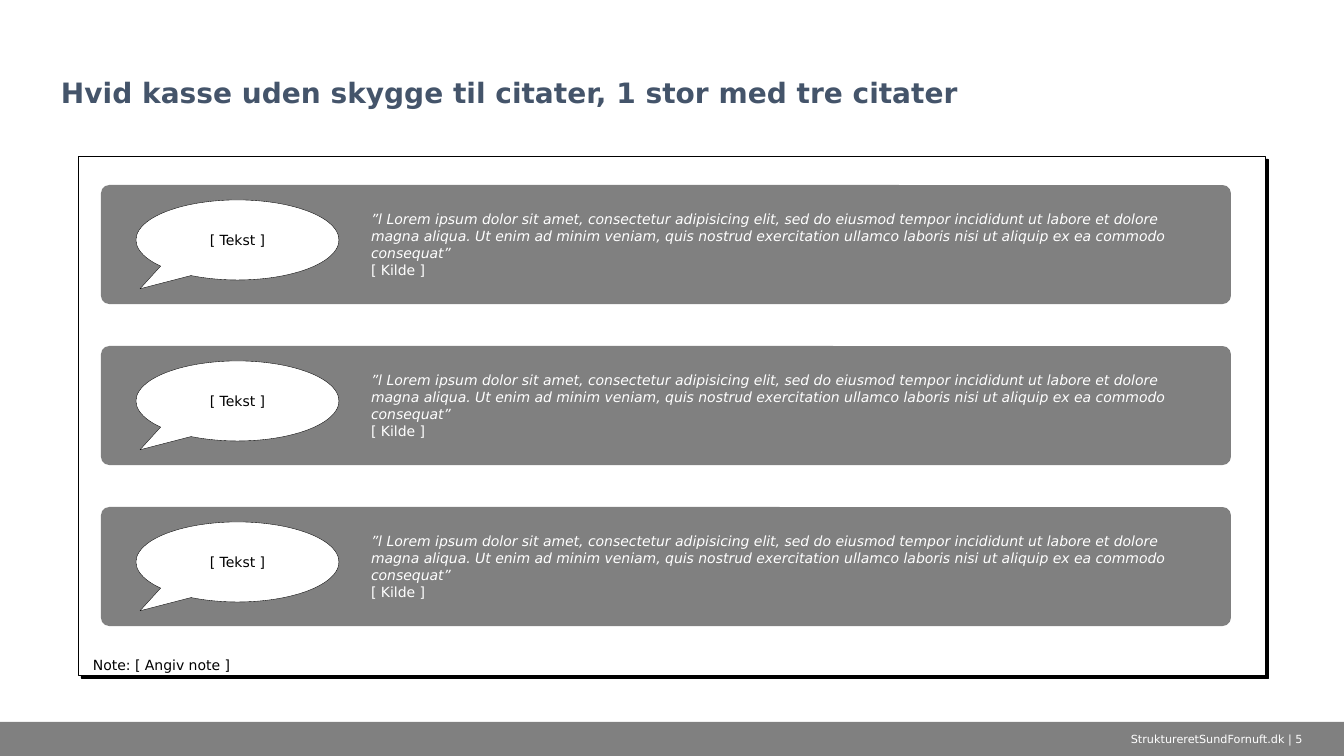
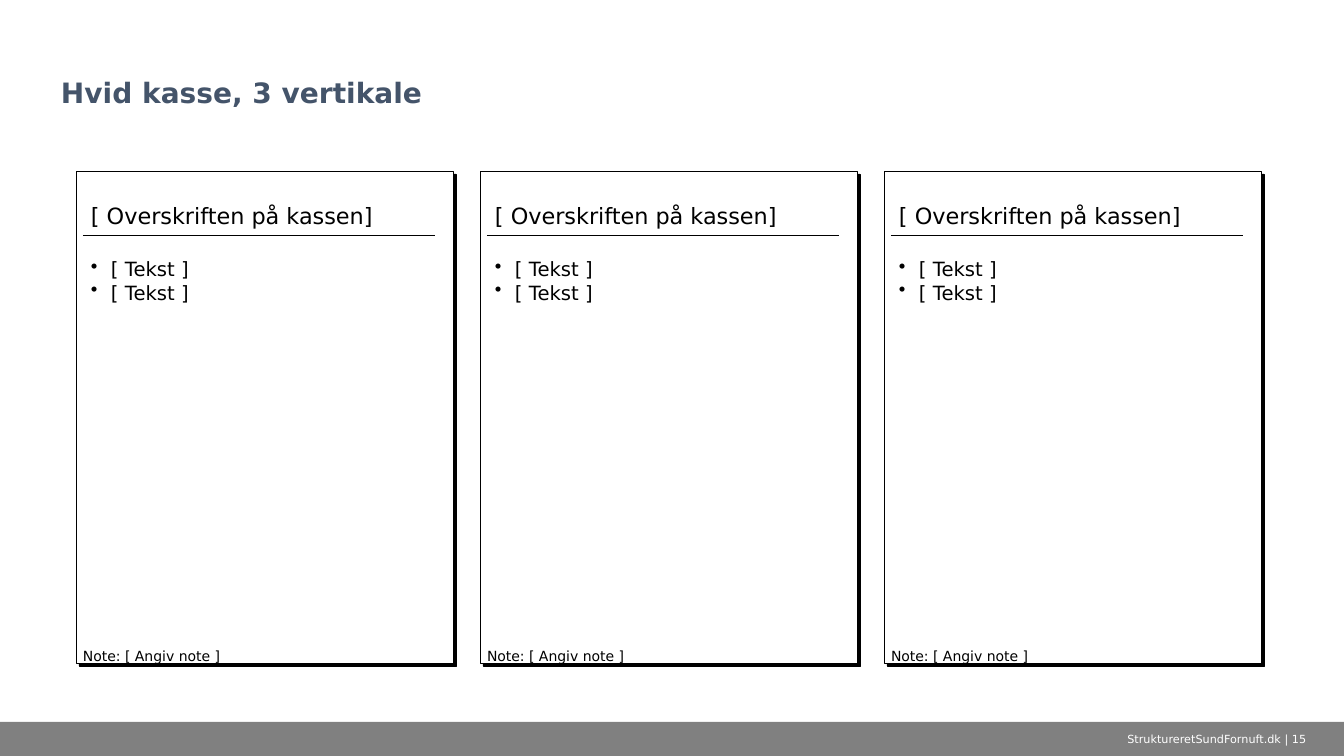
from copy import deepcopy
from dataclasses import dataclass

from lxml.etree import SubElement
from pptx import Presentation
from pptx.dml.color import RGBColor as Rgb
from pptx.enum.shapes import MSO_CONNECTOR as Link, MSO_SHAPE as Kind
from pptx.enum.text import MSO_ANCHOR as Anchor, MSO_AUTO_SIZE as Auto, PP_ALIGN as Align
from pptx.oxml.ns import qn
from pptx.util import Emu, Pt

SCALE = 914400 / 100.8


@dataclass(frozen=True)
class Theme:
    font: str = "DejaVu Sans"
    white: str = "FFFFFF"
    black: str = "000000"
    gray: str = "808080"
    navy: str = "44546A"
    title: int = 20
    head: int = 16
    body: int = 14
    small: int = 10
    foot: int = 8
    thin: float = 0.25
    rule: float = 0.5


THEME = Theme()
NOTE = "Note: [ Angiv note ]"
QUOTE = (
    "”l Lorem ipsum dolor sit amet, consectetur adipisicing elit, sed do eiusmod "
    "tempor incididunt ut labore et dolore magna aliqua. Ut enim ad minim veniam, "
    "quis nostrud exercitation ullamco laboris nisi ut aliquip ex ea commodo "
    "consequat”\v[ Kilde ]"
)


def px(num):
    return Emu(round(num * SCALE))


def write(shape, text, size=THEME.small, color=THEME.black, bold=False, slant=0,
          align=Align.LEFT, anchor=Anchor.TOP, pad=(10, 5), bullet=False, space=None):
    """Fill a shape; \\n parts paragraphs, \\v parts lines, the first `slant` lines are italic."""
    frame = shape.text_frame
    frame.word_wrap = True
    frame.vertical_anchor = anchor
    frame.margin_left = frame.margin_right = px(pad[0])
    frame.margin_top = frame.margin_bottom = px(pad[1])
    for row, part in enumerate(text.split("\n")):
        para = frame.add_paragraph() if row else frame.paragraphs[0]
        para.alignment = align
        if space:
            para.line_spacing = space
        if bullet:
            props = para._p.get_or_add_pPr()
            props.set("marL", str(px(20)))
            props.set("indent", str(px(-20)))
            SubElement(props, qn("a:buChar")).set("char", "•")
        for num, line in enumerate(part.split("\v")):
            if num:
                para.add_line_break()
                para._p[-1].append(deepcopy(run._r.rPr))
            run = para.add_run()
            run.text = line
            font = run.font
            font.name, font.size = THEME.font, Pt(size)
            font.bold, font.italic = bold, num < slant
            font.color.rgb = Rgb.from_string(color)
    return frame


class Deck:
    def __init__(self):
        self.file = Presentation()
        self.file.slide_width, self.file.slide_height = px(1344), px(756)
        self.slide = self.shapes = None

    def page(self, title, num):
        self.slide = self.file.slides.add_slide(self.file.slide_layouts[6])
        self.shapes = self.slide.shapes
        self.shape(Kind.RECTANGLE, (0, 722, 1344, 35), THEME.gray)
        self.text((51, 17, 1241, 98), title, size=THEME.title, color=THEME.navy,
                  bold=True, anchor=Anchor.BOTTOM, space=0.9)
        self.text((1090, 722, 254, 34), f"StruktureretSundFornuft.dk | {num}",
                  size=THEME.foot, color=THEME.white, align=Align.CENTER,
                  anchor=Anchor.MIDDLE)

    def group(self):
        self.shapes = self.slide.shapes.add_group_shape().shapes

    def shape(self, kind, box, fill, line=0, adjust=()):
        item = self.shapes.add_shape(kind, *map(px, box))
        item.shadow.inherit = False
        for spot, value in enumerate(adjust):
            item.adjustments[spot] = value
        item.fill.solid()
        item.fill.fore_color.rgb = Rgb.from_string(fill)
        if line:
            item.line.color.rgb = Rgb.from_string(THEME.black)
            item.line.width = Pt(line)
        else:
            item.line.fill.background()
        return item

    def card(self, box, kind=Kind.RECTANGLE, adjust=()):
        """White box with a hard shadow down to the right."""
        item = self.shape(kind, box, THEME.white, THEME.rule, adjust)
        effect = item._element.spPr.find(qn("a:effectLst"))
        shade = SubElement(effect, qn("a:outerShdw"), blurRad="0", dist=str(Pt(3)),
                           dir="2700000", algn="tl", rotWithShape="0")
        SubElement(shade, qn("a:srgbClr"), val=THEME.black)

    def text(self, box, text, **style):
        return write(self.shapes.add_textbox(*map(px, box)), text, **style)

    def note(self, box):
        self.text(box, NOTE, pad=(0, 0)).auto_size = Auto.SHAPE_TO_FIT_TEXT

    def rule(self, left, top, width):
        line = self.shapes.add_connector(
            Link.STRAIGHT, *map(px, (left, top, left + width, top)))
        line.line.color.rgb = Rgb.from_string(THEME.black)
        line.line.width = Pt(THEME.rule)
        SubElement(line._element.spPr, qn("a:effectLst"))

    def quote(self, top):
        self.group()
        self.shape(Kind.ROUNDED_RECTANGLE, (101, top, 1130, 119), THEME.gray,
                   adjust=[0.07])
        bubble = self.shape(Kind.OVAL_CALLOUT, (136, top + 15, 203, 80), THEME.white,
                            THEME.thin, [-0.48, 0.61])
        write(bubble, "[ Tekst ]", align=Align.CENTER, anchor=Anchor.MIDDLE)
        self.text((363, top + 8, 845, 103), QUOTE, color=THEME.white, slant=1,
                  anchor=Anchor.MIDDLE, pad=(8, 6))

    def column(self, left):
        self.group()
        inner = left + 7
        self.card((left, 171, 377, 492), Kind.PENTAGON, [0])
        self.rule(inner, 235, 352)
        self.text((inner, 171, 352, 64), "[ Overskriften på kassen]", size=THEME.head,
                  anchor=Anchor.BOTTOM, pad=(8, 6))
        self.text((inner, 251, 352, 396), "[ Tekst ]\n[ Tekst ]", size=THEME.body,
                  pad=(8, 6), bullet=True)
        self.note((inner, 648, 355, 17))


def main():
    deck = Deck()
    deck.page("Hvid kasse uden skygge til citater, 1 stor med tre citater", 5)
    deck.card((78, 156, 1187, 519))
    deck.note((93, 657, 1110, 17))
    for row in range(3):
        deck.quote(185 + 161 * row)

    deck.page("Hvid kasse, 3 vertikale", 15)
    for col in range(3):
        deck.column(76 + 404 * col)
    deck.file.save("out.pptx")


if __name__ == "__main__":
    main()
